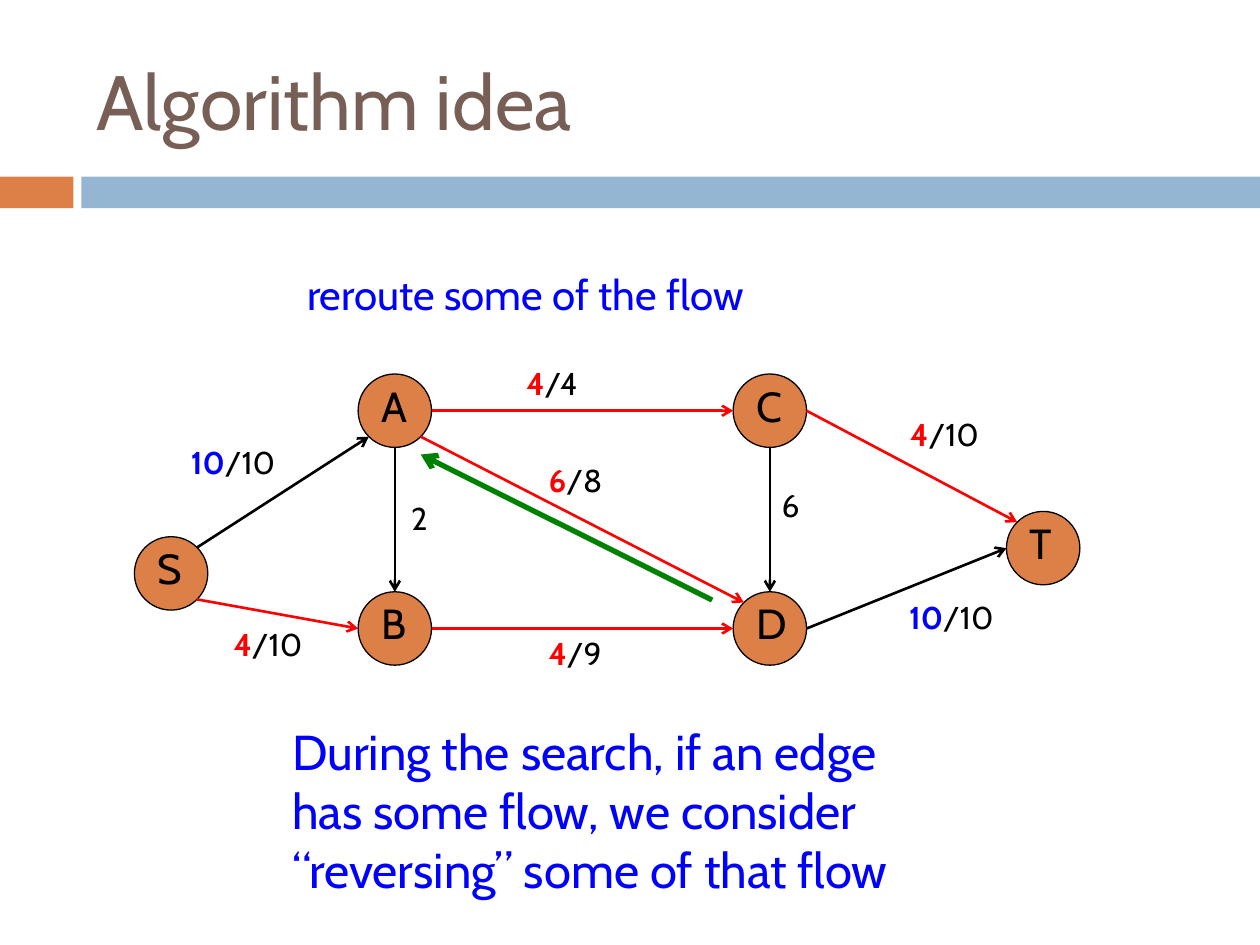
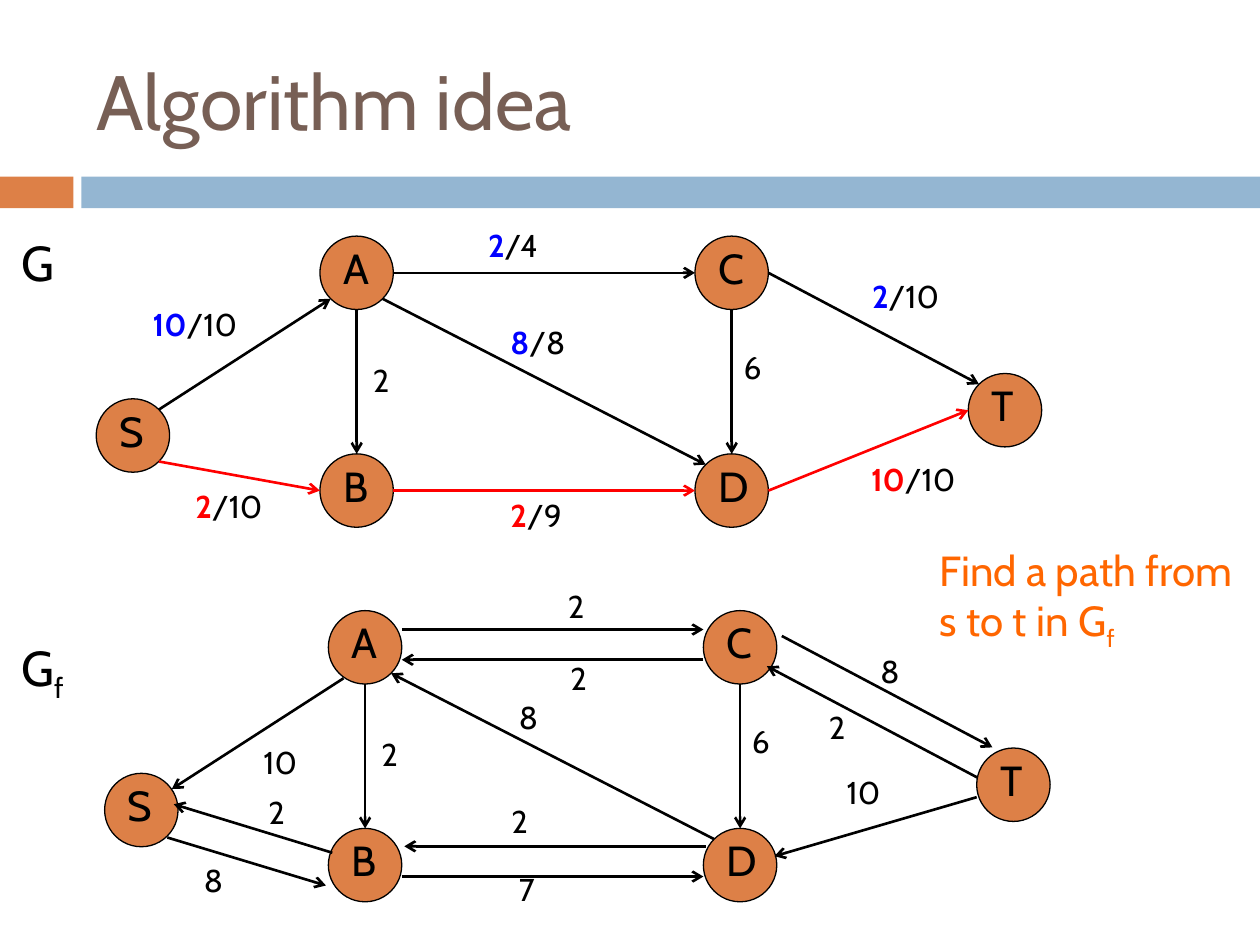
from dataclasses import dataclass
from math import cos, radians, sin

from lxml.etree import SubElement
from pptx import Presentation
from pptx.dml.color import RGBColor
from pptx.enum.shapes import MSO_CONNECTOR as Connector, MSO_SHAPE as Shape
from pptx.enum.text import MSO_ANCHOR as Anchor
from pptx.oxml.ns import qn
from pptx.slide import Slide
from pptx.util import Cm, Pt

FONT = "Cabin"
COLORS = {
    "black": "000000", "title": "775F55", "orange": "DD8047", "band": "94B6D2",
    "red": "FF0000", "blue": "0000FF", "green": "008000", "hint": "FF6600",
}
Point = tuple[float, float]


@dataclass(frozen=True)
class Part:
    """A piece of text with one look."""
    text: str
    color: str = "black"
    bold: bool = False
    sub: bool = False


@dataclass(frozen=True)
class Route:
    """Where an edge leaves and enters its nodes, and where its label stands."""
    leave: str
    enter: str
    label_at: Point
    shift: Point = (0, 0)
    end_shift: Point | None = None  # same as shift unless given


@dataclass(frozen=True)
class Edge:
    """Nodes from and to, such as "SA", with a label "flow/capacity" or "capacity"."""
    nodes: str
    label: str
    color: str = "black"


# Graph geometry in centimetres, measured from the top left of a graph
NODE = 1.48
NODES: dict[str, Point] = {
    "S": (0, 3.28), "A": (4.51, 0), "B": (4.51, 4.39),
    "T": (17.58, 2.77), "C": (12.07, 0), "D": (12.07, 4.39),
}
SIDES = {"e": 0, "se": 45, "s": 90, "sw": 135, "w": 180, "nw": 225, "n": 270, "ne": 315}

AB = Route("s", "n", (5.33, 2.39))
CD = Route("s", "n", (12.8, 2.13))
FLOW_ROUTES = {
    "SA": Route("ne", "sw", (0.89, 1.27)),
    "SB": Route("se", "w", (1.75, 4.93)),
    "BD": Route("e", "w", (8.1, 5.11)),
    "AB": AB,
    "AC": Route("e", "w", (7.65, -0.33)),
    "CD": CD,
    "AD": Route("se", "nw", (8.1, 1.63)),
    "CT": Route("e", "nw", (15.39, 0.71)),
    "DT": Route("e", "w", (15.37, 4.39)),
    "DA": Route("nw", "se", (0, 0), (-0.64, -0.05), (0, 0.36)),
}
RESIDUAL_ROUTES = {
    "AB": AB,
    "CD": CD,
    "AS": Route("sw", "ne", (2.95, 2.54), (0.09, 0.1)),
    "SB": Route("se", "w", (1.75, 4.93), (0, 0.03), (-0.05, 0.41)),
    "BS": Route("w", "se", (3.05, 3.56), (0.08, -0.25), (0.13, -0.64)),
    "BD": Route("e", "w", (8.1, 5.11), (0, 0.23)),
    "DB": Route("w", "e", (7.95, 3.73), (0.05, -0.38)),
    "AC": Route("e", "w", (9.09, -0.61), (0, -0.36)),
    "CA": Route("w", "e", (9.14, 0.86), (0, 0.25)),
    "DA": Route("nw", "se", (8.1, 1.63)),
    "CT": Route("e", "nw", (15.39, 0.71), (0.1, -0.23)),
    "TC": Route("nw", "e", (14.35, 1.83), (-0.2, 0.38)),
    "TD": Route("w", "e", (14.71, 3.15), (0, 0.25), (-0.05, -0.18)),
}

# The graphs
REROUTED = [
    Edge("SA", "10/10"), Edge("SB", "4/10", "red"), Edge("BD", "4/9", "red"),
    Edge("AB", "2"), Edge("AC", "4/4", "red"), Edge("CD", "6"),
    Edge("AD", "6/8", "red"), Edge("CT", "4/10", "red"), Edge("DT", "10/10"),
]
FLOW = [
    Edge("SA", "10/10"), Edge("SB", "2/10", "red"), Edge("BD", "2/9", "red"),
    Edge("AB", "2"), Edge("AC", "2/4"), Edge("CD", "6"),
    Edge("AD", "8/8"), Edge("CT", "2/10"), Edge("DT", "10/10", "red"),
]
RESIDUAL = [
    Edge("SB", "8"), Edge("BD", "7"), Edge("AB", "2"), Edge("AC", "2"),
    Edge("CD", "6"), Edge("DA", "8"), Edge("CT", "8"), Edge("TD", "10"),
    Edge("AS", "10"), Edge("CA", "2"), Edge("TC", "2"), Edge("BS", "2"),
    Edge("DB", "2"),
]


def rgb(name: str) -> RGBColor:
    return RGBColor.from_string(COLORS[name])


def add_text(slide: Slide, at: Point, size: Point, points: float, *parts: Part,
             anchor: Anchor = Anchor.TOP) -> None:
    box = slide.shapes.add_textbox(*map(Cm, at + size))
    tf = box.text_frame
    tf.word_wrap = True
    tf.vertical_anchor = anchor
    p = tf.paragraphs[0]
    for i, part in enumerate(parts):
        if i == 0:
            p.text = part.text
            runs = p.runs
        else:
            runs = (p.add_run(),)
            runs[0].text = part.text
        for r in runs:
            r.font.name = FONT
            r.font.size = Pt(points)
            r.font.bold = part.bold
            r.font.color.rgb = rgb(part.color)
            if part.sub:
                r._r.get_or_add_rPr().set("baseline", "-25000")


def add_filled(slide: Slide, kind: Shape, at: Point, size: Point, fill: str,
               outlined: bool = False) -> None:
    sp = slide.shapes.add_shape(kind, *map(Cm, at + size))
    sp.shadow.inherit = False
    sp.fill.solid()
    sp.fill.fore_color.rgb = rgb(fill)
    if outlined:
        sp.line.color.rgb = rgb("black")
        sp.line.width = Pt(0.75)
    else:
        sp.line.fill.background()


def add_arrow(slide: Slide, start: Point, end: Point, color: str, width: float) -> None:
    line = slide.shapes.add_connector(Connector.STRAIGHT, *map(Cm, start + end))
    line.line.color.rgb = rgb(color)
    line.line.width = Pt(width)
    SubElement(line.line._get_or_add_ln(), qn("a:tailEnd"), type="arrow")
    SubElement(line._element.spPr, qn("a:effectLst"))


def move(point: Point, by: Point) -> Point:
    return point[0] + by[0], point[1] + by[1]


def port(node: str, side: str) -> Point:
    """The point on a node's rim that faces a compass side."""
    angle, radius = radians(SIDES[side]), NODE / 2
    return move(NODES[node], (radius * (1 + cos(angle)), radius * (1 + sin(angle))))


def add_edge(slide: Slide, origin: Point, nodes: str, route: Route,
             color: str, width: float = 1.5) -> None:
    end_shift = route.shift if route.end_shift is None else route.end_shift
    start = move(port(nodes[0], route.leave), route.shift)
    end = move(port(nodes[1], route.enter), end_shift)
    add_arrow(slide, move(origin, start), move(origin, end), color, width)


def add_graph(slide: Slide, origin: Point, edges: list[Edge],
              routes: dict[str, Route]) -> None:
    for name, place in NODES.items():
        at = move(origin, place)
        add_filled(slide, Shape.OVAL, at, (NODE, NODE), "orange", outlined=True)
        add_text(slide, move(at, (0.22, 0)), (1.27, 1.27), 24, Part(name))
    for edge in edges:
        route = routes[edge.nodes]
        add_edge(slide, origin, edge.nodes, route, edge.color)
        flow, slash, capacity = edge.label.rpartition("/")
        parts = [Part(slash + capacity)]
        if flow:
            flow_color = "red" if edge.color == "red" else "blue"
            parts.insert(0, Part(flow, flow_color, bold=True))
        add_text(slide, move(origin, route.label_at), (2.41, 1.02), 18, *parts)


def add_base(prs: Presentation, title: str) -> Slide:
    """A blank slide with the title and the two-part band."""
    slide = prs.slides.add_slide(prs.slide_layouts[6])
    add_filled(slide, Shape.RECTANGLE, (0, 3.56), (1.48, 0.64), "orange")
    add_filled(slide, Shape.RECTANGLE, (1.64, 3.56), (23.76, 0.64), "band")
    add_text(slide, (1.7, 0.64), (22.66, 2.74), 44, Part(title, "title"),
             anchor=Anchor.MIDDLE)
    return slide


def main() -> None:
    prs = Presentation()
    prs.slide_width, prs.slide_height = Cm(25.4), Cm(19.05)

    # Rerouting flow backwards along an edge
    slide = add_base(prs, "Algorithm idea")
    origin = (2.71, 7.54)
    add_graph(slide, origin, REROUTED, FLOW_ROUTES)
    add_text(slide, (5.64, 14.43), (13.36, 3.84), 28, Part(
        "During the search, if an edge has some flow, "
        "we consider “reversing” some of that flow", "blue"))
    add_text(slide, (5.94, 5.28), (14.07, 1.27), 24,
             Part("reroute some of the flow", "blue"))
    add_edge(slide, origin, "DA", FLOW_ROUTES["DA"], "green", 3)

    # Flow graph above its residual graph
    slide = add_base(prs, "Algorithm idea")
    f = Part("f", sub=True)
    add_text(slide, (0.18, 4.57), (2.24, 1.45), 28, Part("G"))
    add_text(slide, (0.18, 12.73), (2.24, 1.45), 28, Part("G"), f)
    add_text(slide, (18.69, 10.85), (6.91, 2.31), 24,
             Part("Find a path from\ns to t in G", "hint"), Part("f", "hint", sub=True))
    add_graph(slide, (1.94, 4.76), FLOW, FLOW_ROUTES)
    add_graph(slide, (2.11, 12.31), RESIDUAL, RESIDUAL_ROUTES)

    prs.save("out.pptx")


if __name__ == "__main__":
    main()
